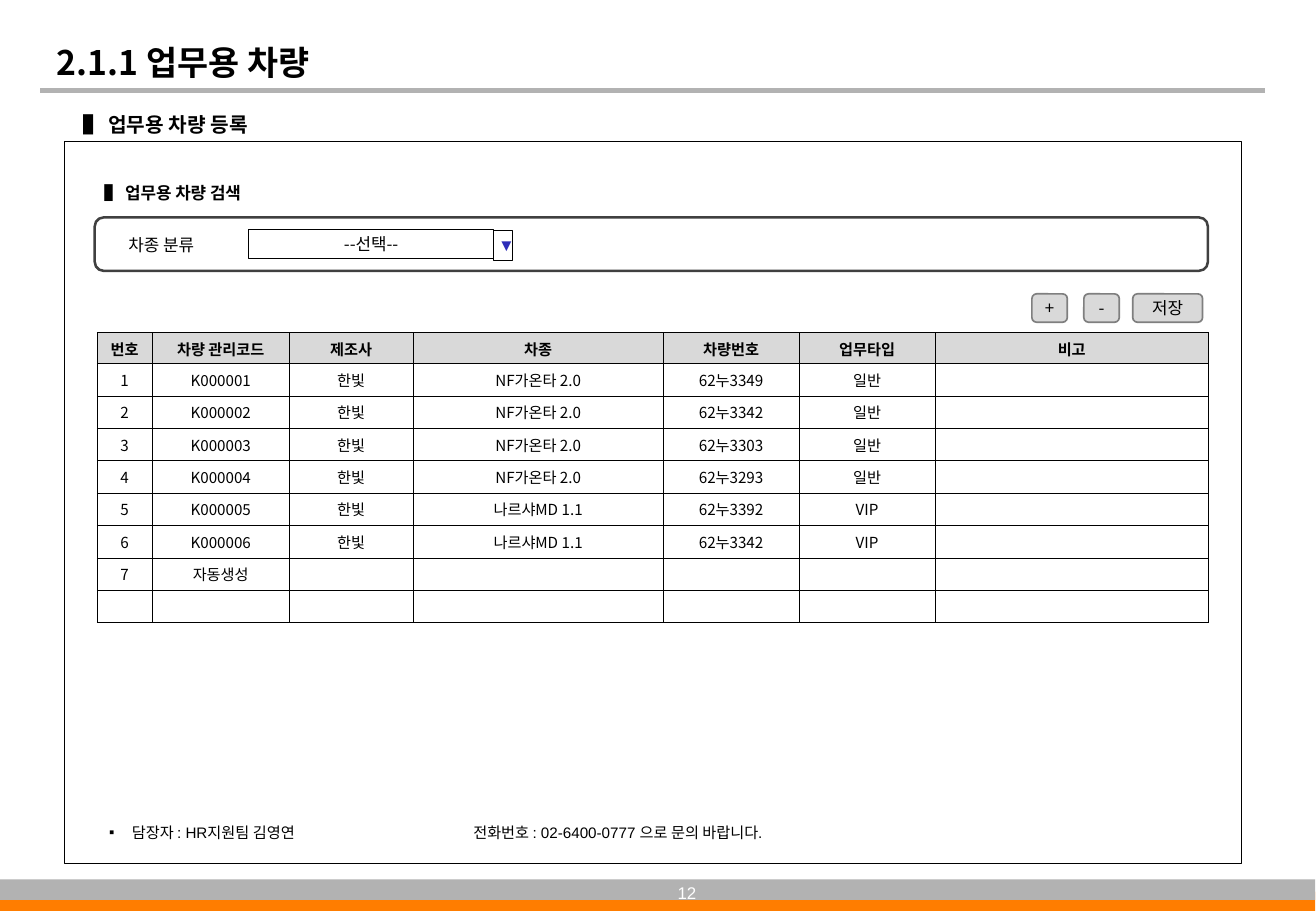
import pptx
import pptx.dml.color
import pptx.enum.shapes
import pptx.enum.text
import pptx.oxml
import pptx.oxml.ns
import pptx.util
import lxml.etree

Pt = pptx.util.Pt
Shape = pptx.enum.shapes.MSO_SHAPE
Align = pptx.enum.text.PP_ALIGN
Anchor = pptx.enum.text.MSO_ANCHOR
Fit = pptx.enum.text.MSO_AUTO_SIZE
qn = pptx.oxml.ns.qn
rgb = pptx.dml.color.RGBColor.from_string
NOTO = "Noto Sans CJK KR"


def write(frame, text, size, font=NOTO, bold=False, color="000000", align=Align.LEFT):
    frame.text = text
    para = frame.paragraphs[0]
    para.alignment = align
    for run in para.runs:
        run.font.size = Pt(size)
        run.font.bold = bold
        run.font.name = font
        run.font.color.rgb = rgb(color)
        east = lxml.etree.Element(qn("a:ea"), typeface=NOTO)
        run.font._element.find(qn("a:latin")).addnext(east)
    if not text:
        para._p.get_or_add_endParaRPr().set("sz", str(size * 100))


def draw(kind, box, fill=None, line=None, width=0.25):
    item = slide.shapes.add_shape(kind, *[Pt(n) for n in box])
    item.shadow.inherit = False
    if fill:
        item.fill.solid()
        item.fill.fore_color.rgb = rgb(fill)
    else:
        item.fill.background()
    if line:
        item.line.color.rgb = rgb(line)
        item.line.width = Pt(width)
    else:
        item.line.fill.background()
    return item


deck = pptx.Presentation()
deck.slide_width, deck.slide_height = Pt(780.48), Pt(540)
slide = deck.slides.add_slide(deck.slide_layouts[5])

rule = slide.shapes.add_connector(
    pptx.enum.shapes.MSO_CONNECTOR.STRAIGHT, Pt(24), Pt(53.8), Pt(750.2), Pt(53.8))
rule.line.color.rgb = rgb("B2B2B2")
rule.line.width = Pt(3)
lxml.etree.SubElement(rule._element.spPr, qn("a:effectLst"))

draw(Shape.RECTANGLE, (0, 528.5, 780, 11.5), "FF7D00")
draw(Shape.RECTANGLE, (0, 521.3, 780, 12.2), "B2B2B2")
draw(Shape.RECTANGLE, (38.2, 84, 698, 428), line="000000")

title = slide.shapes.title
title.left, title.top, title.width, title.height = Pt(26.6), Pt(16.6), Pt(580), Pt(36)
title.text_frame.auto_size = Fit.NONE
title.text_frame.vertical_anchor = Anchor.BOTTOM
write(title.text_frame, "2.1.1 업무용 차량", 20, bold=True)

labels = [
    ("▌ 업무용 차량 등록", (42.5, 63.2, 285, 21.8), 12, NOTO, True, True),
    ("▌ 업무용 차량 검색", (54.9, 105, 285, 19.4), 10, NOTO, True, True),
    ("차종 분류", (69.1, 135.4, 54, 19.4), 10, "Arial", False, False),
    ("담장자 : HR지원팀 김영연\t\t전화번호 : 02-6400-0777 으로 문의 바랍니다.",
     (57.6, 484.6, 409.7, 18.2), 9, "Arial", False, False),
]
for text, box, size, font, bold, wrap in labels:
    label = slide.shapes.add_textbox(*[Pt(n) for n in box])
    frame = label.text_frame
    frame.word_wrap = wrap
    frame.auto_size = Fit.SHAPE_TO_FIT_TEXT
    write(frame, text, size, font, bold)

props = frame.paragraphs[0]._p.get_or_add_pPr()
props.set("marL", str(Pt(13.5)))
props.set("indent", str(Pt(-13.5)))
lxml.etree.SubElement(props, qn("a:buFont"), typeface="Arial")
lxml.etree.SubElement(props, qn("a:buChar"), char="▪")
tabs = lxml.etree.SubElement(props, qn("a:tabLst"))
for stop in range(1, 9):
    lxml.etree.SubElement(tabs, qn("a:tab"), pos=str(Pt(72 * stop)), algn="l")

page = slide.shapes.add_textbox(Pt(360), Pt(519.8), Pt(60), Pt(19.4))
page.text_frame.word_wrap = False
page.text_frame.auto_size = Fit.SHAPE_TO_FIT_TEXT
page.text_frame.vertical_anchor = Anchor.MIDDLE
write(page.text_frame, "12", 10, "Arial", color="FFFFFF", align=Align.RIGHT)

draw(Shape.ROUNDED_RECTANGLE, (56.2, 128.9, 660.2, 31.7), line="404040", width=1.5)

picker = draw(Shape.RECTANGLE, (147.4, 135.9, 145.4, 17.5), "FFFFFF", "000000")
arrow = draw(Shape.RECTANGLE, (292.6, 136.3, 11.5, 18), None, "000000")
for item, text, font, color in [(picker, "--선택--", NOTO, "000000"),
                                (arrow, "▼", "Arial", "2D2DB9")]:
    frame = item.text_frame
    frame.margin_left = frame.margin_right = Pt(2.8)
    frame.margin_top = frame.margin_bottom = Pt(2.8)
    write(frame, text, 10, font, color=color, align=Align.CENTER)

for text, left, width in [("+", 612, 21), ("-", 642.8, 21), ("저장", 671.8, 41.4)]:
    button = draw(Shape.ROUNDED_RECTANGLE, (left, 174.2, width, 16.8), "D9D9D9", "7F7F7F", 1)
    frame = button.text_frame
    frame.margin_left = frame.margin_right = 0
    write(frame, text, 10, align=Align.CENTER)

heads = ["번호", "차량 관리코드", "제조사", "차종", "차량번호", "업무타입", "비고"]
cars = [
    ("NF가온타 2.0", "62누3349", "일반"),
    ("NF가온타 2.0", "62누3342", "일반"),
    ("NF가온타 2.0", "62누3303", "일반"),
    ("NF가온타 2.0", "62누3293", "일반"),
    ("나르샤MD 1.1", "62누3392", "VIP"),
    ("나르샤MD 1.1", "62누3342", "VIP"),
]
rows = [heads]
for num, car in enumerate(cars, 1):
    rows.append([str(num), f"K{num:06}", "한빛", *car, ""])
rows.append(["7", "자동생성"] + [""] * 5)
rows.append([""] * 7)

widths = [32.7, 81.2, 73.6, 148.2, 80.7, 80.7, 162]
table = slide.shapes.add_table(
    len(rows), len(heads), Pt(57.6), Pt(197.1), Pt(sum(widths)), Pt(172)).table
table.first_row = table.horz_banding = False
for col, width in zip(table.columns, widths):
    col.width = Pt(width)
for r, row in enumerate(rows):
    table.rows[r].height = Pt(19.2 if r else 18.4)
    for c, text in enumerate(row):
        cell = table.cell(r, c)
        cell.vertical_anchor = Anchor.MIDDLE
        cell.margin_left = cell.margin_right = Pt(2.8)
        cell.margin_top = Pt(3)
        cell.margin_bottom = Pt(3 if r else 2)
        write(cell.text_frame, text, 9, bold=r == 0, align=Align.CENTER)
        edges = cell._tc.get_or_add_tcPr()
        for side in ("a:lnL", "a:lnR", "a:lnT", "a:lnB"):
            edge = lxml.etree.SubElement(edges, qn(side), w=str(Pt(0.25)))
            paint = lxml.etree.SubElement(edge, qn("a:solidFill"))
            lxml.etree.SubElement(paint, qn("a:srgbClr"), val="000000")
        if r:
            cell.fill.background()
        else:
            cell.fill.solid()
            cell.fill.fore_color.rgb = rgb("D9D9D9")

deck.save("out.pptx")
